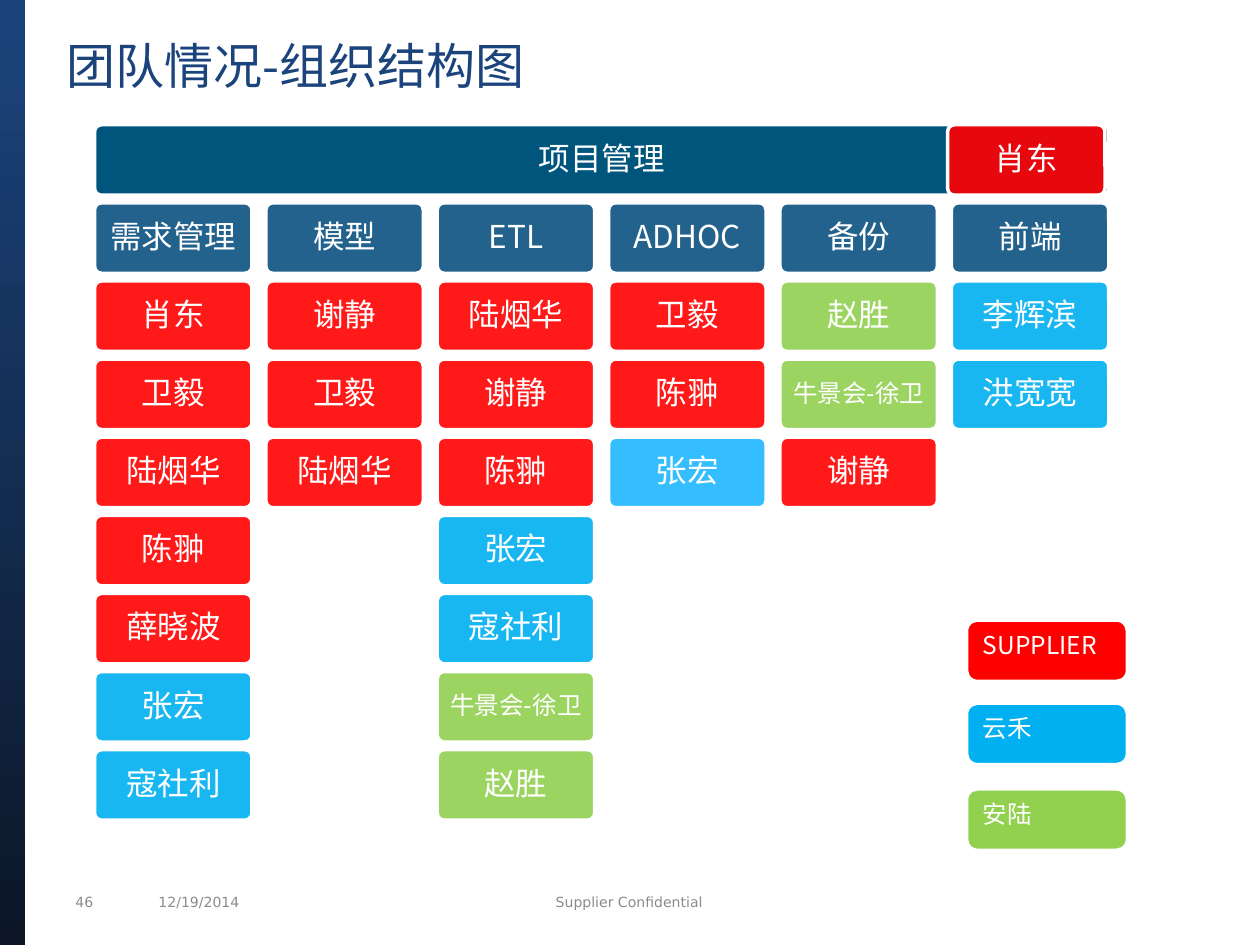
from lxml.etree import SubElement
from pptx import Presentation
from pptx.dml.color import RGBColor
from pptx.enum.shapes import MSO_SHAPE
from pptx.enum.text import MSO_ANCHOR, PP_ALIGN
from pptx.oxml.ns import qn
from pptx.util import Inches, Pt

WHITE = RGBColor(0xFF, 0xFF, 0xFF)
GREY = RGBColor(0x8B, 0x8B, 0x89)
NAVY = RGBColor(0x1B, 0x44, 0x7D)
DARK = RGBColor(0x0C, 0x16, 0x27)
TEAL = RGBColor(0x00, 0x55, 0x7D)
STEEL = RGBColor(0x22, 0x62, 0x8C)
RED = RGBColor(0xFF, 0x00, 0x00)
BLUE = RGBColor(0x00, 0xB0, 0xF0)
SKY = RGBColor(0x20, 0xB8, 0xFF)
GREEN = RGBColor(0x92, 0xD0, 0x50)

CJK_FONT = "Noto Sans CJK SC"
FOOTER_FONT = "DejaVu Sans"

GRID_LEFT, GRID_TOP = 0.75, 0.99
COLUMN_STEP, ROW_STEP = 1.36, 0.62
CELL_WIDTH, CELL_HEIGHT = 1.25, 0.56

TEAMS = [
    ("需求管理", [("肖东", RED), ("卫毅", RED), ("陆烟华", RED), ("陈翀", RED),
              ("薛晓波", RED), ("张宏", BLUE), ("寇社利", BLUE)]),
    ("模型", [("谢静", RED), ("卫毅", RED), ("陆烟华", RED)]),
    ("ETL", [("陆烟华", RED), ("谢静", RED), ("陈翀", RED), ("张宏", BLUE),
             ("寇社利", BLUE), ("牛景会-徐卫", GREEN), ("赵胜", GREEN)]),
    ("ADHOC", [("卫毅", RED), ("陈翀", RED), ("张宏", SKY)]),
    ("备份", [("赵胜", GREEN), ("牛景会-徐卫", GREEN), ("谢静", RED)]),
    ("前端", [("李辉滨", BLUE), ("洪宽宽", BLUE)]),
]
LEGEND = [("SUPPLIER", RED, 4.93), ("云禾", BLUE, 5.59), ("安陆", GREEN, 6.27)]
FOOTERS = [
    ("46", 0.5, 0.5, PP_ALIGN.LEFT),
    ("12/19/2014", 1.16, 1.67, PP_ALIGN.LEFT),
    ("Supplier Confidential", 2.91, 4.17, PP_ALIGN.CENTER),
]


def write_text(shape, text, size, color=WHITE, font=CJK_FONT, align=PP_ALIGN.LEFT,
               anchor=MSO_ANCHOR.TOP, margins=(0.1, 0.05), line_spacing=1, space_after=0):
    frame = shape.text_frame
    frame.word_wrap = True
    frame.vertical_anchor = anchor
    frame.margin_left = frame.margin_right = Inches(margins[0])
    frame.margin_top = frame.margin_bottom = Inches(margins[1])
    para = frame.paragraphs[0]
    para.alignment = align
    para.line_spacing = line_spacing
    para.space_before = Pt(0)
    para.space_after = Pt(space_after)
    span = para.add_run()
    span.text = text
    span.font.size = Pt(size)
    span.font.name = font
    span.font.color.rgb = color
    SubElement(span.font._element, qn("a:ea")).set("typeface", font)


def add_box(page, left, top, width, height, color, line_width, opacity=100, corner=None):
    box = page.shapes.add_shape(MSO_SHAPE.ROUNDED_RECTANGLE, Inches(left), Inches(top),
                                Inches(width), Inches(height))
    box.shadow.inherit = False
    box.fill.solid()
    box.fill.fore_color.rgb = color
    box.line.color.rgb = WHITE
    box.line.width = Pt(line_width)
    if corner is not None:
        box.adjustments[0] = corner
    if opacity < 100:
        tint = box._element.spPr.find(qn("a:solidFill")).find(qn("a:srgbClr"))
        SubElement(tint, qn("a:alpha")).set("val", str(opacity * 1000))
    return box


def add_cell(page, text, left, row, color, width=CELL_WIDTH, opacity=100):
    box = add_box(page, left, GRID_TOP + row * ROW_STEP, width, CELL_HEIGHT, color, 2,
                  opacity=opacity, corner=0.1)
    is_long = len(text) > 5
    margin = 0.06 if is_long else 0.07
    size = 14 if is_long else 18
    write_text(box, text, size, align=PP_ALIGN.CENTER, anchor=MSO_ANCHOR.MIDDLE,
               margins=(margin, margin), line_spacing=0.9, space_after=size * 0.35)


def add_side_band(page):
    band = page.shapes.add_shape(MSO_SHAPE.RECTANGLE, 0, 0, Inches(0.2), Inches(7.5))
    band.shadow.inherit = False
    band.line.fill.background()
    band.fill.gradient()
    band.fill.gradient_angle = 90
    for stop, color, position in zip(band.fill.gradient_stops, (DARK, NAVY), (0, 1)):
        stop.color.rgb = color
        stop.position = position


def add_title(page, text):
    title = page.shapes.title
    title.left, title.top = Inches(0.43), Inches(0.28)
    title.width, title.height = Inches(9), Inches(0.56)
    write_text(title, text, 28, color=NAVY, margins=(0.1, 0))


def add_footer(page, text, left, width, align):
    box = page.shapes.add_textbox(Inches(left), Inches(7.04), Inches(width), Inches(0.24))
    write_text(box, text, 8, color=GREY, font=FOOTER_FONT, align=align,
               anchor=MSO_ANCHOR.MIDDLE)


def add_team(page, column, name, members):
    left = GRID_LEFT + column * COLUMN_STEP
    add_cell(page, name, left, 1, STEEL)
    for row, (member, color) in enumerate(members, start=2):
        add_cell(page, member, left, row, color, opacity=90)


def add_legend_entry(page, text, color, top):
    box = add_box(page, 7.68, top, 1.26, 0.47, color, 0.75)
    write_text(box, text, 14)


def main():
    deck = Presentation()
    deck.slide_width, deck.slide_height = Inches(10), Inches(7.5)
    page = deck.slides.add_slide(deck.slide_layouts[5])
    for footer in FOOTERS:
        add_footer(page, *footer)
    add_side_band(page)
    add_title(page, "团队情况-组织结构图")
    add_cell(page, "项目管理", GRID_LEFT, 0, TEAL, width=8.05)
    for column, (name, members) in enumerate(TEAMS):
        add_team(page, column, name, members)
    add_cell(page, "肖东", 7.52, 0, RED, opacity=90)
    for entry in LEGEND:
        add_legend_entry(page, *entry)
    deck.save("out.pptx")


if __name__ == "__main__":
    main()
